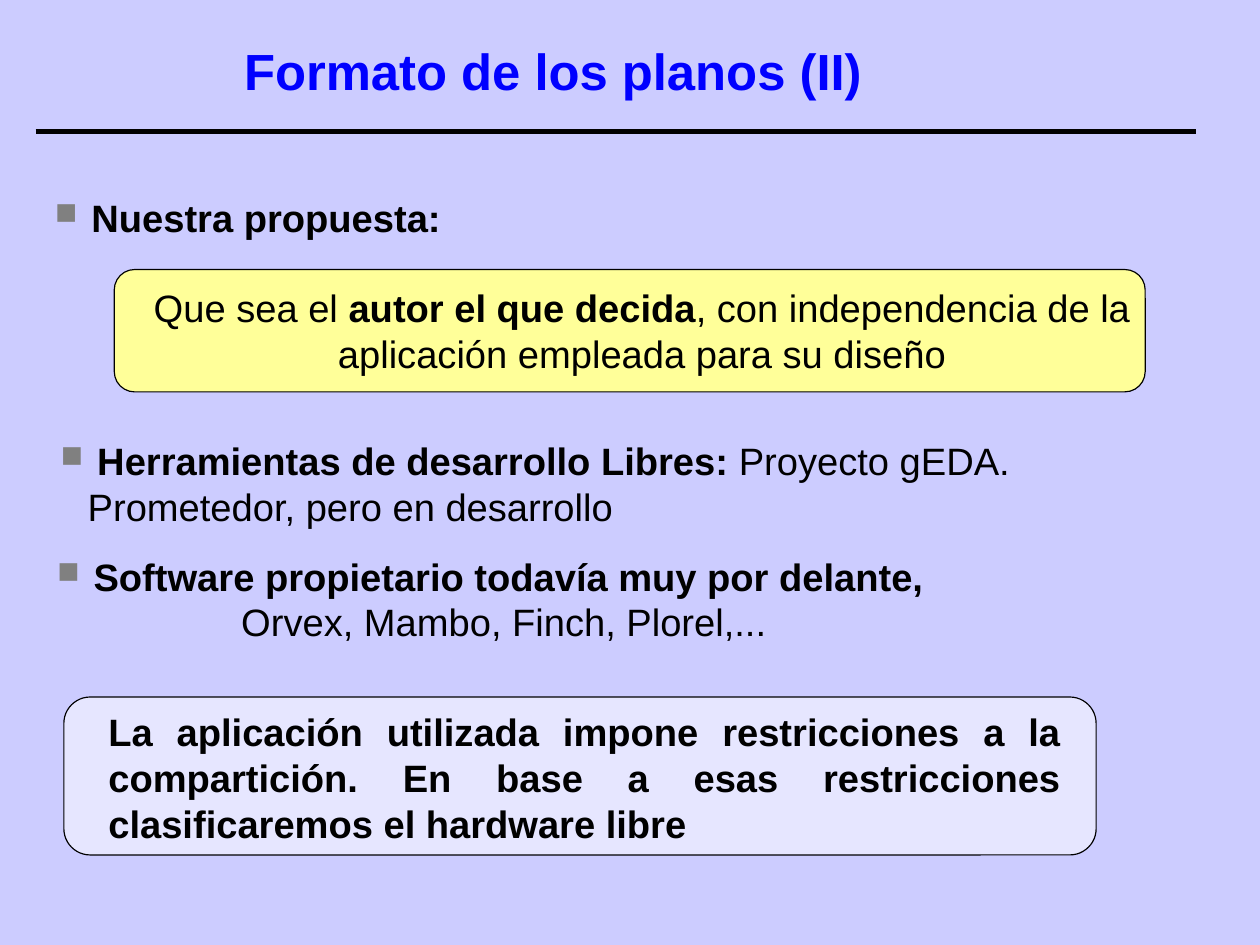
from lxml import etree
from pptx import Presentation
from pptx.dml.color import RGBColor
from pptx.enum.shapes import MSO_CONNECTOR, MSO_SHAPE
from pptx.enum.text import MSO_ANCHOR, PP_ALIGN
from pptx.oxml.ns import qn
from pptx.util import Cm, Pt

ROUNDED = MSO_SHAPE.ROUNDED_RECTANGLE
STRAIGHT = MSO_CONNECTOR.STRAIGHT
MIDDLE = MSO_ANCHOR.MIDDLE
LEFT, CENTER, JUSTIFY = PP_ALIGN.LEFT, PP_ALIGN.CENTER, PP_ALIGN.JUSTIFY
BLACK = "000000"


def color(hex_string):
    return RGBColor.from_string(hex_string)


def add_text(place, spans, align, size=24, ink=BLACK):
    """Add a one-paragraph box at place (cm); spans are (text, bold) pairs."""
    box = page.shapes.add_textbox(*map(Cm, place))
    frame = box.text_frame
    frame.word_wrap = True
    frame.margin_left = frame.margin_right = 0
    frame.margin_top = frame.margin_bottom = 0
    para = frame.paragraphs[0]
    para.alignment = align
    para.font.name = "Arial"
    para.font.size = Pt(size)
    para.font.color.rgb = color(ink)
    for text, bold in spans:
        span = para.add_run()
        span.text = text
        span.font.bold = bold
    return box


deck = Presentation()
deck.slide_width, deck.slide_height = Cm(28), Cm(21)
page = deck.slides.add_slide(deck.slide_layouts[6])
page.background.fill.solid()
page.background.fill.fore_color.rgb = color("CCCCFF")

# Title and rule
title = add_text((1.5, 0, 21.6, 3), [("Formato de los planos (II)", True)],
                 CENTER, 32, "0000FF")
title.text_frame.vertical_anchor = MIDDLE
title.text_frame.paragraphs[0].line_spacing = Pt(42)

rule = page.shapes.add_connector(STRAIGHT, Cm(0.79), Cm(2.92), Cm(26.57), Cm(2.92))
rule.line.color.rgb = color(BLACK)
rule.line.width = Pt(2.83)
etree.SubElement(rule._element.spPr, qn("a:effectLst"))

# Bulleted points
points = [
    ((1.22, 4.32, 8.76, 1.17), LEFT, [("Nuestra propuesta:", True)]),
    ((1.35, 9.73, 22.15, 2.11), LEFT,
     [("Herramientas de desarrollo Libres: ", True),
      ("Proyecto gEDA. Prometedor, pero en desarrollo", False)]),
    ((1.22, 12.29, 19.35, 2.51), CENTER,
     [("Software propietario todavía muy por delante, ", True),
      ("Orvex, Mambo, Finch, Plorel,...", False)]),
]
for place, align, spans in points:
    point = add_text(place, [(" ", False)] + spans, align)
    para = point.text_frame.paragraphs[0]
    para.runs[0].font.name = "Times New Roman"
    properties = para._p.get_or_add_pPr()
    properties.set("marL", str(Cm(0.6)))
    properties.set("indent", str(-Cm(0.6)))
    bullet_color = etree.Element(qn("a:buClr"))
    etree.SubElement(bullet_color, qn("a:srgbClr"), val="808080")
    bullet_size = etree.Element(qn("a:buSzPct"), val="80000")
    bullet_mark = etree.Element(qn("a:buChar"), char="■")
    for position, element in enumerate((bullet_color, bullet_size, bullet_mark)):
        properties.insert(position, element)

# Highlighted statements
statements = [
    ((2.54, 5.99, 22.91, 2.72), "FFFF99", (3.33, 6.32, 21.87, 1.9), CENTER,
     [("Que sea el ", False), ("autor el que decida", True),
      (", con independencia de la aplicación empleada para su diseño", False)]),
    ((1.42, 15.49, 22.94, 3.51), "E6E6FF", (2.41, 15.75, 21.16, 2.87), JUSTIFY,
     [("La aplicación utilizada impone restricciones a la compartición. "
       "En base a esas restricciones clasificaremos el hardware libre", True)]),
]
for panel_place, panel_fill, text_place, align, spans in statements:
    panel = page.shapes.add_shape(ROUNDED, *map(Cm, panel_place))
    panel.shadow.inherit = False
    panel.fill.solid()
    panel.fill.fore_color.rgb = color(panel_fill)
    panel.line.color.rgb = color(BLACK)
    panel.line.width = Pt(0)
    add_text(text_place, spans, align)

deck.save("out.pptx")
